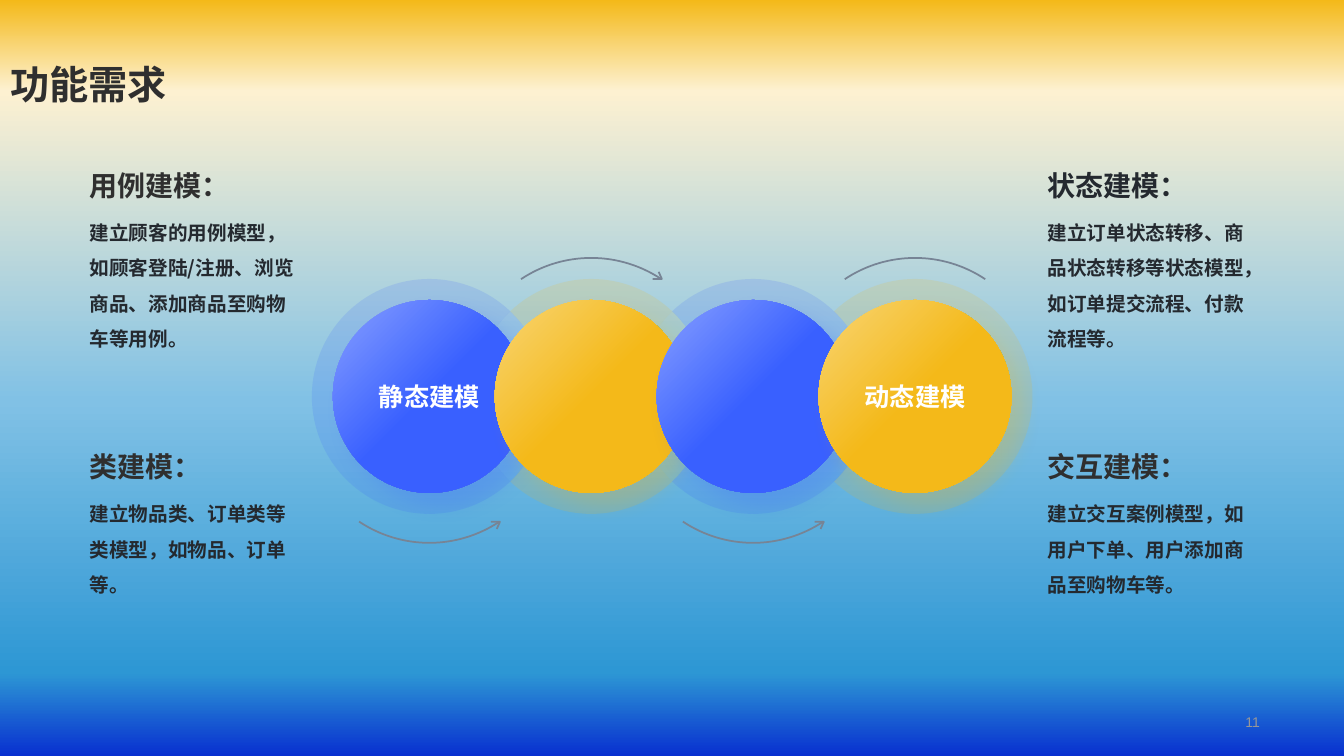
from dataclasses import dataclass
from math import acos, asin, cos, degrees, radians, sin, tan

from lxml.etree import SubElement
from pptx import Presentation
from pptx.dml.color import RGBColor
from pptx.enum.shapes import MSO_SHAPE
from pptx.enum.text import MSO_ANCHOR as Anchor, MSO_AUTO_SIZE as AutoSize, PP_ALIGN as Align
from pptx.oxml.ns import qn
from pptx.util import Cm, Pt


@dataclass(frozen=True)
class Theme:
    font: str = "Arial"
    cjk_font: str = "Noto Sans CJK SC"
    dark: str = "2F2F2F"
    ink: str = "24292F"
    white: str = "FFFFFF"
    number: str = "979797"
    arrow: str = "778495"
    blue: tuple = ("88A0FF", "3960FF")
    yellow: tuple = ("F8D575", "F4B919")
    sky: tuple = ((0, "F4B919"), (12, "FDF1D1"), (53, "81C1E5"), (89, "2D97D4"), (100, "0830D0"))
    title_size: int = 28
    heading_size: int = 20
    label_size: int = 18
    body_size: int = 14
    number_size: int = 10


THEME = Theme()

# Geometry of the chain of circles, in cm
FIRST_X, STEP, MID_Y = 10.82, 4.08, 9.99
HALO_R, DISC_R = 2.96, 2.43
ARROW_Y, ARROW_R, ARROW_SHIFT, ARROW_HALF = 10.09, 3.19, 0.4, 1.77
ARROW_HEAD = ((1.55, 3.06), (1.78, 3.06), (1.7, 3.24))

CIRCLES = [
    # label, colours, overlap on the right cut out as a lens, arrow side, arrowhead
    ("静态建模", THEME.blue, True, 1, True),
    ("", THEME.yellow, True, -1, True),
    ("", THEME.blue, False, 1, True),
    ("动态建模", THEME.yellow, False, -1, False),
]

NOTES = [
    # left, top, body height, heading, heading colour, body
    (2.26, 4.11, 3.71, "用例建模：", THEME.dark,
     "建立顾客的用例模型，如顾客登陆/注册、浏览商品、添加商品至购物车等用例。"),
    (2.26, 11.2, 2.84, "类建模：", THEME.dark,
     "建立物品类、订单类等类模型，如物品、订单等。"),
    (26.4, 4.11, 3.71, "状态建模：", THEME.ink,
     "建立订单状态转移、商品状态转移等状态模型，如订单提交流程、付款流程等。"),
    (26.4, 11.2, 2.84, "交互建模：", THEME.dark,
     "建立交互案例模型，如用户下单、用户添加商品至购物车等。"),
]


def rgb(color):
    return RGBColor.from_string(color)


def write(tf, text, *, size, color, font=THEME.font, bold=True, align=Align.LEFT,
          anchor=Anchor.TOP, spacing=None, insets=None, wrap=True, auto=AutoSize.NONE):
    """Set the text of a frame as one formatted paragraph."""
    tf.word_wrap, tf.auto_size, tf.vertical_anchor = wrap, auto, anchor
    if insets:
        tf.margin_left = tf.margin_right = Cm(insets[0])
        tf.margin_top = tf.margin_bottom = Cm(insets[1])
    p = tf.paragraphs[0]
    p.alignment, p.line_spacing = align, spacing
    r = p.add_run()
    r.text = text
    r.font.size, r.font.bold, r.font.name = Pt(size), bold, font
    r.font.color.rgb = rgb(color)
    SubElement(r.font._element, qn("a:ea"), typeface=THEME.cjk_font)


def set_gradient(fill, element, stops, angle):
    """Fill with (percent, colour) stops; the angle runs clockwise."""
    fill.gradient()
    fill.gradient_angle = 360 - angle
    gs_list = next(element.iter(qn("a:gsLst")))
    for gs in list(gs_list):
        gs_list.remove(gs)
    for percent, color in stops:
        gs = SubElement(gs_list, qn("a:gs"), pos=str(percent * 1000))
        SubElement(gs, qn("a:srgbClr"), val=color)


def arc(x, y, radius, start, end):
    """Points of two Bézier curves along a circle; degrees run clockwise."""
    half = radians(end - start) / 2
    k = 4 / 3 * tan(half / 4)
    points = [(x + radius * cos(radians(start)), y + radius * sin(radians(start)))]
    for a in (radians(start), radians(start) + half):
        b = a + half
        for dx, dy in ((cos(a) - k * sin(a), sin(a) + k * cos(a)),
                       (cos(b) + k * sin(b), sin(b) - k * cos(b)),
                       (cos(b), sin(b))):
            points.append((x + radius * dx, y + radius * dy))
    return points


def join(arcs):
    """Chain arcs that each start where the one before ends."""
    return arcs[0] + [pt for points in arcs[1:] for pt in points[1:]]


def bend(sp):
    """Turn each three line segments of a freeform into one Bézier curve."""
    lines = list(sp._element.iter(qn("a:lnTo")))
    for curve, *others in zip(lines[::3], lines[1::3], lines[2::3]):
        curve.tag = qn("a:cubicBezTo")
        for line in others:
            curve.append(line[0])
            line.getparent().remove(line)


class Deck:
    def __init__(self, theme):
        self.theme = theme
        self.prs = Presentation()
        self.prs.slide_width, self.prs.slide_height = Cm(33.87), Cm(19.05)
        self.s = self.prs.slides.add_slide(self.prs.slide_layouts[5])

    def background(self):
        set_gradient(self.s.background.fill, self.s._element, self.theme.sky, 90)

    def title(self, text):
        sp = self.s.shapes.title
        sp.left, sp.top, sp.width, sp.height = Cm(0), Cm(0), Cm(30.18), Cm(2.84)
        write(sp.text_frame, text, size=self.theme.title_size, color=self.theme.dark,
              anchor=Anchor.BOTTOM, spacing=0.9)

    def text(self, box, text, **style):
        sp = self.s.shapes.add_textbox(*map(Cm, box))
        write(sp.text_frame, text, **style)

    def note(self, left, top, height, heading, color, body):
        style = dict(insets=(0, 0.13), auto=AutoSize.SHAPE_TO_FIT_TEXT)
        self.text((left, top, 5.21, 1.12), heading,
                  size=self.theme.heading_size, color=color, **style)
        self.text((left, top + 1.03, 5.21, height), body, size=self.theme.body_size,
                  color=self.theme.ink, font=self.theme.cjk_font, spacing=1.5, **style)

    def outline(self, points, close, curved):
        start, *rest = [(Cm(x), Cm(y)) for x, y in points]
        builder = self.s.shapes.build_freeform(*start)
        builder.add_line_segments(rest, close=close)
        sp = builder.convert_to_shape()
        sp.shadow.inherit = False
        if curved:
            bend(sp)
        return sp

    def tint(self, arcs, color, opacity):
        sp = self.outline(join(arcs), True, True)
        sp.fill.solid()
        sp.fill.fore_color.rgb = rgb(color)
        clr = next(sp._element.spPr.iter(qn("a:srgbClr")))
        SubElement(clr, qn("a:alpha"), val=str(opacity * 1000))
        sp.line.fill.background()

    def stroke(self, points, curved):
        sp = self.outline(points, False, curved)
        sp.fill.background()
        sp.line.color.rgb = rgb(self.theme.arrow)
        sp.line.width = Pt(1.25)

    def halo(self, x, color, bite_left, bite_right):
        """Ring disc without the bitten overlaps; the right one becomes a lens."""
        h = degrees(acos(STEP / 2 / HALO_R))
        near = (x, -h, h)
        far = (x + STEP, 180 + h, 180 - h)
        left = (x - STEP, h, -h) if bite_left else (x, 180 - h, 180 + h)
        sides = [(x, h, 180 - h), left, (x, 180 + h, 360 - h), far if bite_right else near]
        outlines = [([near, (x + STEP, 180 - h, 180 + h)], 10)] if bite_right else []
        for parts, opacity in outlines + [(sides, 15)]:
            self.tint([arc(cx, MID_Y, HALO_R, a, b) for cx, a, b in parts], color, opacity)

    def arrow(self, x, side, head):
        """Curved arrow below (side 1) or above (side -1) a circle."""
        half = degrees(asin(ARROW_HALF / ARROW_R))
        y = ARROW_Y + side * ARROW_SHIFT
        self.stroke(arc(x, y, ARROW_R, side * (90 - half), side * (90 + half)), True)
        if head:
            self.stroke([(x + dx, ARROW_Y + side * dy) for dx, dy in ARROW_HEAD], False)

    def disc(self, x, colors, label):
        sp = self.s.shapes.add_shape(MSO_SHAPE.OVAL, Cm(x - DISC_R), Cm(MID_Y - DISC_R),
                                     Cm(2 * DISC_R), Cm(2 * DISC_R))
        set_gradient(sp.fill, sp._element, zip((0, 50), colors), 45)
        sp.line.fill.background()
        sp.shadow.inherit = False
        shadow = SubElement(sp._element.spPr.find(qn("a:effectLst")), qn("a:outerShdw"),
                            blurRad=str(Pt(14)), dist=str(Pt(12)), dir=str(45 * 60000))
        clr = SubElement(shadow, qn("a:srgbClr"), val=colors[1])
        SubElement(clr, qn("a:alpha"), val="20000")
        if label:
            write(sp.text_frame, label, size=self.theme.label_size, color=self.theme.white,
                  align=Align.CENTER, anchor=Anchor.MIDDLE, insets=(0, 0), wrap=False)


def main():
    deck = Deck(THEME)
    deck.background()
    deck.text((24.61, 17.88, 7.39, 0.61), "11", size=THEME.number_size, color=THEME.number,
              bold=False, align=Align.RIGHT, anchor=Anchor.MIDDLE)
    deck.title("功能需求")
    for note in NOTES:
        deck.note(*note)
    for i, (label, colors, bite_right, side, head) in enumerate(CIRCLES):
        x = FIRST_X + i * STEP
        deck.halo(x, colors[1], i > 0, bite_right)
        deck.arrow(x, side, head)
        deck.disc(x, colors, label)
    deck.prs.save("out.pptx")


if __name__ == "__main__":
    main()
